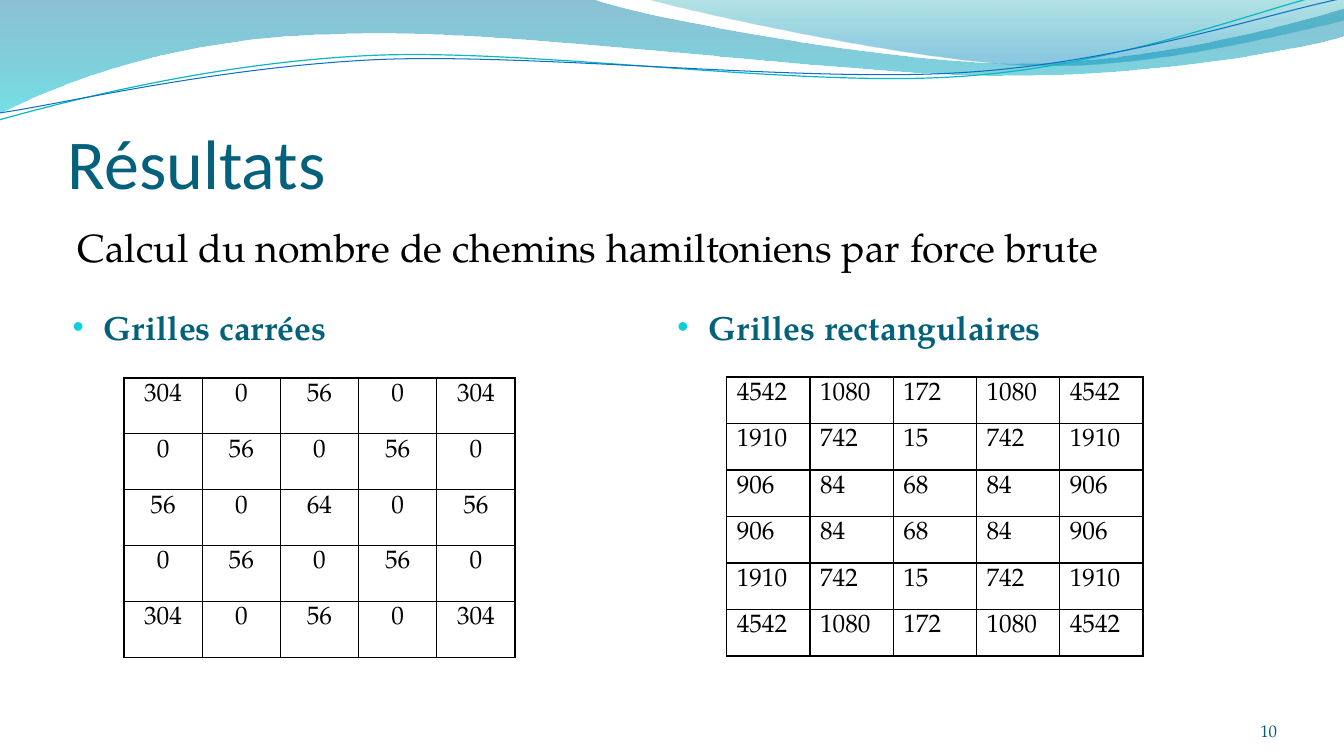
import math
from dataclasses import dataclass

from lxml import etree
from pptx import Presentation
from pptx import oxml
from pptx import util as u
from pptx.dml.color import RGBColor
from pptx.enum import text
from pptx.oxml import ns


@dataclass(frozen=True)
class Theme:
    """Colours, fonts and type sizes of the slide."""
    heading: str = "04617B"
    bullet: str = "0BD0D9"
    number: str = "045D75"
    ink: str = "000000"
    title_font: str = "Calibri"
    body_font: str = "TeX Gyre Pagella"
    title_size: int = 50
    lead_size: int = 28
    label_size: int = 24
    cell_size: int = 18
    number_size: int = 12
    rule: int = 1


THEME = Theme()
TOP, MIDDLE, BOTTOM = (text.MSO_ANCHOR.TOP, text.MSO_ANCHOR.MIDDLE,
                       text.MSO_ANCHOR.BOTTOM)
LEFT, CENTER, RIGHT = (text.PP_ALIGN.LEFT, text.PP_ALIGN.CENTER,
                       text.PP_ALIGN.RIGHT)

TITLE = "Résultats"
LEAD = "Calcul du nombre de chemins hamiltoniens par force brute"
PAGE_NUMBER = "10"
LABELS = [("Grilles carrées", 0.67), ("Grilles rectangulaires", 6.67)]

SQUARE_TOP = [[304, 0, 56, 0, 304], [0, 56, 0, 56, 0]]
SQUARE = SQUARE_TOP + [[56, 0, 64, 0, 56]] + SQUARE_TOP[::-1]
RECTANGLE_TOP = [
    [4542, 1080, 172, 1080, 4542],
    [1910, 742, 15, 742, 1910],
    [906, 84, 68, 84, 906],
]
RECTANGLE = RECTANGLE_TOP + RECTANGLE_TOP[::-1]
# values, (left, top, width, height), alignment
GRIDS = [
    (SQUARE, (1.23, 3.75, 3.88, 2.77), CENTER),
    (RECTANGLE, (7.21, 3.74, 4.13, 2.77), LEFT),
]

# Outlines in inches: a pair is a straight step, six numbers a Bezier curve.
# Gradient stops: position, colour, opacity in percent.
WAVES = [
    ([(0, 0), (5.87, -0.01), (6.34, 0.17, 8.85, 0.63, 10.11, 0.63),
      (11.38, 0.63, 12.78, 0.26, 13.33, 0.09), (13.35, 0.36),
      (13.11, 0.44, 11.6, 0.76, 9.94, 0.75),
      (8.29, 0.75, 5.09, 0.28, 3.43, 0.34),
      (1.72, 0.36, 0.61, 0.83, -0.01, 1.13), (0, 0)],
     [(0, "0074A1", 45), (1, "00C6CF", 55)]),
    ([(6.39, -0.01), (6.79, 0.11, 9.09, 0.62, 10.25, 0.65),
      (11.41, 0.69, 12.82, 0.32, 13.33, 0.21), (13.33, 0), (6.39, -0.01)],
     [(0, "00A1A9", 30), (0.8, "008BBF", 45)]),
]
# outline as it lies on the slide, centre of its turn, colour, width in points
STRANDS = [
    ([(-0.01, 1.19), (0.64, 1.01, 2.11, 0.62, 3.69, 0.55),
      (5.27, 0.48, 7.9, 0.87, 9.5, 0.76),
      (11.1, 0.66, 12.52, 0.08, 13.31, -0.1)], (6.65, 0.58), "0AB8BF", 0.85),
    ([(0, 1.12), (0.63, 1.03, 2.18, 0.66, 3.78, 0.59),
      (5.37, 0.53, 7.96, 0.82, 9.55, 0.72),
      (11.15, 0.62, 12.55, 0.14, 13.34, -0.02)], (6.67, 0.59), "0F6FC6", 0.75),
]
STRAND_TURN = -2.7


def turn_back(outline, centre):
    """Undo the strands' turn about a centre."""
    angle = math.radians(-STRAND_TURN)
    cos, sin = math.cos(angle), math.sin(angle)
    turned = []
    for step in outline:
        points = []
        for x, y in zip(step[::2], step[1::2]):
            dx, dy = x - centre[0], y - centre[1]
            points += [centre[0] + dx * cos - dy * sin,
                       centre[1] + dx * sin + dy * cos]
        turned.append(tuple(points))
    return turned


def add_outline(shapes, outline, closed):
    """Draw a freeform whose six-number steps are Bezier curves."""
    points = [(u.Inches(x), u.Inches(y)) for step in outline
              for x, y in zip(step[::2], step[1::2])]
    builder = shapes.build_freeform(*points[0])
    builder.add_line_segments(points[1:], close=closed)
    shape = builder.convert_to_shape()
    shape.shadow.inherit = False
    lines = iter(list(shape._element.iter(ns.qn("a:lnTo"))))
    for step in outline[1:]:
        group = [next(lines) for _ in range(len(step) // 2)]
        if len(group) == 3:
            curve = etree.Element(ns.qn("a:cubicBezTo"))
            group[0].addprevious(curve)
            for line in group:
                curve.append(line[0])
                line.getparent().remove(line)
    return shape


def add_wave(shapes, outline, stops):
    """Draw a translucent wave shaded from top to bottom."""
    wave = add_outline(shapes, outline, True)
    wave.fill.gradient()
    wave.fill.gradient_angle = 270
    for stop, (position, colour, _) in zip(wave.fill.gradient_stops, stops):
        stop.position = position
        stop.color.rgb = RGBColor.from_string(colour)
    for node, (_, _, opacity) in zip(wave._element.iter(ns.qn("a:srgbClr")), stops):
        etree.SubElement(node, ns.qn("a:alpha"), val=str(opacity * 1000))
    wave.line.fill.background()


def add_strand(shapes, outline, centre, colour, width):
    """Draw a thin open curve, slightly turned."""
    strand = add_outline(shapes, turn_back(outline, centre), False)
    strand.rotation = STRAND_TURN
    strand.fill.background()
    strand.line.color.rgb = RGBColor.from_string(colour)
    strand.line.width = u.Pt(width)


def write(frame, words, size, colour, font=THEME.body_font, align=LEFT, bold=False):
    """Put one styled paragraph in a text frame."""
    frame.text = words
    para = frame.paragraphs[0]
    para.alignment = align
    span = para.runs[0]
    span.font.name, span.font.size, span.font.bold = font, u.Pt(size), bold
    span.font.color.rgb = RGBColor.from_string(colour)
    return para


def add_text(page, place, words, size, colour, anchor=TOP,
             margins=(0.1, 0.05, 0.1, 0.05), **style):
    """Add a wrapping text box and return its paragraph."""
    box = page.shapes.add_textbox(*map(u.Inches, place))
    frame = box.text_frame
    frame.word_wrap = True
    frame.vertical_anchor = anchor
    (frame.margin_left, frame.margin_top,
     frame.margin_right, frame.margin_bottom) = map(u.Inches, margins)
    return write(frame, words, size, colour, **style)


def add_bullet(para):
    """Give a paragraph a coloured bullet with a hanging indent."""
    para.space_before = u.Pt(0.2 * THEME.label_size)
    props = para._p.get_or_add_pPr()
    indent = u.Inches(0.31)
    props.set("marL", str(indent))
    props.set("indent", str(-indent))
    colour = etree.SubElement(props, ns.qn("a:buClr"))
    etree.SubElement(colour, ns.qn("a:srgbClr"), val=THEME.bullet)
    etree.SubElement(props, ns.qn("a:buSzPct"), val="95000")
    etree.SubElement(props, ns.qn("a:buFont"), typeface="Arial")
    etree.SubElement(props, ns.qn("a:buChar"), char="•")


def add_borders(cell):
    """Rule all four sides of a cell."""
    props = cell._tc.get_or_add_tcPr()
    for index, side in enumerate("LRTB"):
        props.insert(index, oxml.parse_xml(
            f'<a:ln{side} {ns.nsdecls("a")} w="{u.Pt(THEME.rule)}"><a:solidFill>'
            f'<a:srgbClr val="{THEME.ink}"/></a:solidFill></a:ln{side}>'))


def add_grid(page, values, place, align):
    """Add a ruled table with equal rows and columns."""
    rows, columns = len(values), len(values[0])
    table = page.shapes.add_table(rows, columns, *map(u.Inches, place)).table
    table.first_row = table.horz_banding = False
    for row, numbers in enumerate(values):
        for column, number in enumerate(numbers):
            cell = table.cell(row, column)
            write(cell.text_frame, str(number), THEME.cell_size, THEME.ink, align=align)
            cell.fill.background()
            add_borders(cell)


deck = Presentation()
deck.slide_width, deck.slide_height = u.Inches(40 / 3), u.Inches(7.5)
page = deck.slides.add_slide(deck.slide_layouts[6])
for wave in WAVES:
    add_wave(page.shapes, *wave)
strands = page.shapes.add_group_shape()
for strand in STRANDS:
    add_strand(strands.shapes, *strand)
add_text(page, (0.67, 0.77, 12, 1.25), TITLE, THEME.title_size, THEME.heading,
         BOTTOM, (0, 0.05, 0, 0), font=THEME.title_font)
for label, left in LABELS:
    add_bullet(add_text(page, (left, 2.88, 5.89, 0.72), label, THEME.label_size,
                        THEME.heading, MIDDLE, (0.05, 0, 0.05, 0), bold=True))
for grid in GRIDS:
    add_grid(page, *grid)
add_text(page, (0.67, 2.17, 12, 0.57), LEAD, THEME.lead_size, THEME.ink)
add_text(page, (11.56, 6.95, 1.11, 0.4), PAGE_NUMBER, THEME.number_size,
         THEME.number, BOTTOM, (0, 0, 0, 0), align=RIGHT)
deck.save("out.pptx")
